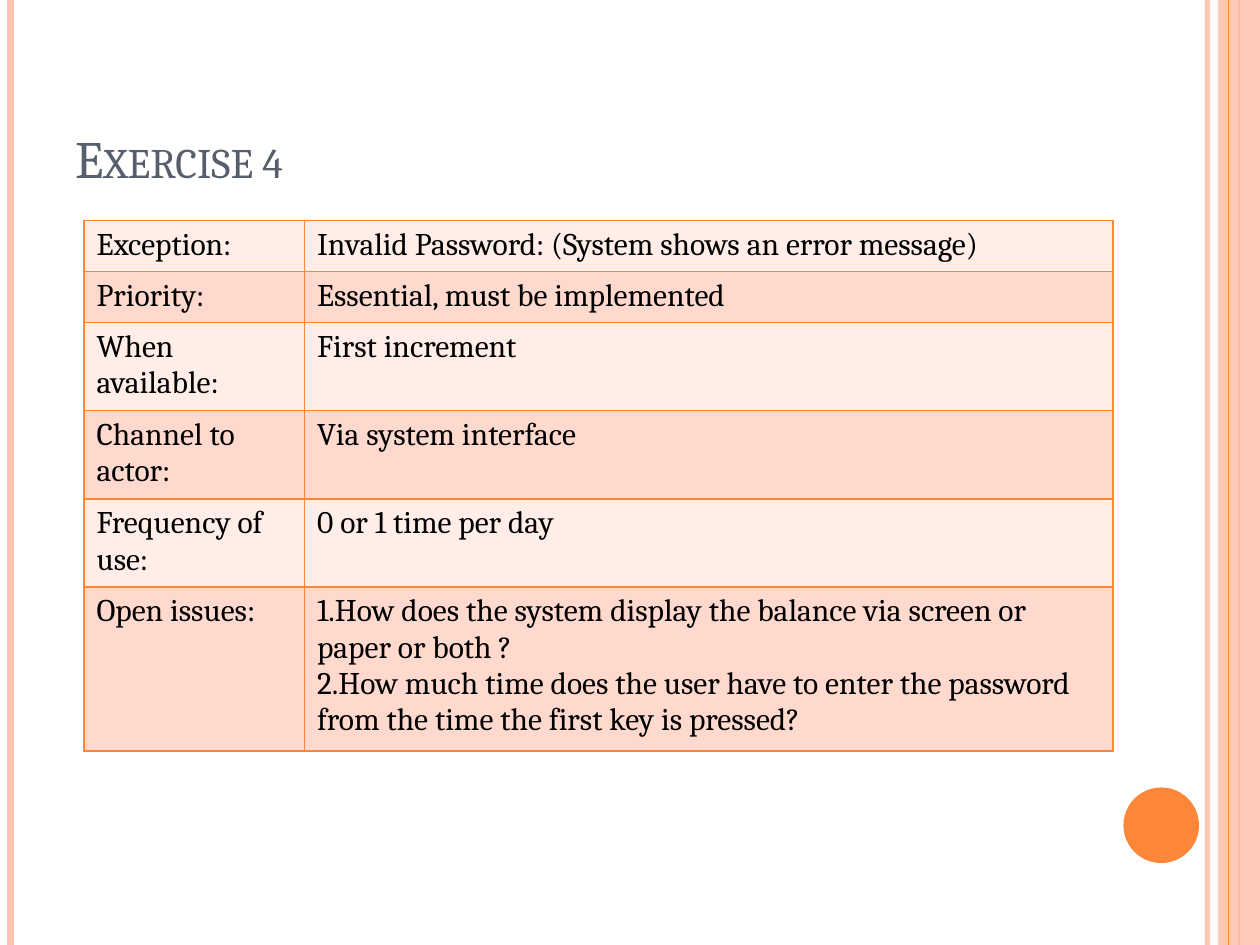
from lxml.etree import SubElement as Sub
from pptx import Presentation
from pptx.dml.color import RGBColor as RGB
from pptx.enum.shapes import MSO_CONNECTOR as Conn, MSO_SHAPE as Kind
from pptx.enum.text import MSO_ANCHOR as Anchor
from pptx.oxml.ns import qn
from pptx.util import Inches, Pt

ORANGE = RGB(0xFE, 0x86, 0x37)
PEACH = RGB(0xFE, 0xC3, 0xAE)
LIGHT = RGB(0xFF, 0xED, 0xE8)
DARK = RGB(0xFF, 0xD9, 0xCE)
SLATE = RGB(0x57, 0x5F, 0x6D)
BLACK = RGB(0, 0, 0)

COLS, ROWS = 120, 90  # grid over the 10 by 7.5 inch slide

FACTS = [
    ("Exception:", "Invalid Password: (System shows an error message)"),
    ("Priority:", "Essential, must be implemented"),
    ("When available:", "First increment"),
    ("Channel to actor:", "Via system interface"),
    ("Frequency of use:", "0 or 1 time per day"),
    ("Open issues:",
     "1.How does the system display the balance via screen or paper or both ?",
     "2.How much time does the user have to enter the password "
     "from the time the first key is pressed?"),
]


class Deck:
    font = "Cambria"

    def __init__(self):
        self.prs = Presentation()
        self.prs.slide_width, self.prs.slide_height = Inches(10), Inches(7.5)
        self.slide = self.prs.slides.add_slide(self.prs.slide_layouts[6])
        self.shapes = self.slide.shapes

    def x(self, cols):
        return round(self.prs.slide_width * cols / COLS)

    def y(self, rows):
        return round(self.prs.slide_height * rows / ROWS)

    def box(self, left, top, wide, high):
        return self.x(left), self.y(top), self.x(wide), self.y(high)

    def alpha(self, fill, share):
        tone = fill.find(".//" + qn("a:srgbClr"))
        Sub(tone, qn("a:alpha"), val=str(share * 1000))

    def rule(self, col, color, width, share=100):
        x = self.x(col)
        line = self.shapes.add_connector(Conn.STRAIGHT, x, 0, x, self.y(ROWS))
        line.line.color.rgb, line.line.width = color, Pt(width)
        props = line._element.spPr
        if share < 100:
            self.alpha(props, share)
        Sub(props, qn("a:effectLst"))

    def shape(self, kind, area, color, share=100):
        shape = self.shapes.add_shape(kind, *self.box(*area))
        shape.shadow.inherit = False
        shape.fill.solid()
        shape.fill.fore_color.rgb = color
        shape.line.fill.background()
        if share < 100:
            self.alpha(shape._element.spPr, share)

    def run(self, para, text, size, color):
        run = para.add_run()
        run.text = text
        run.font.name, run.font.size = self.font, Pt(size)
        run.font.color.rgb = color
        return run

    def title(self, text, area):
        frame = self.shapes.add_textbox(*self.box(*area)).text_frame
        frame.word_wrap, frame.vertical_anchor = True, Anchor.BOTTOM
        run = self.run(frame.paragraphs[0], text, 30, SLATE)
        run.font._element.set("cap", "small")

    def cell(self, cell, lines, color):
        # Borders come before the fill in the cell properties
        props = cell._tc.get_or_add_tcPr()
        for side in ("lnL", "lnR", "lnT", "lnB"):
            edge = Sub(props, qn("a:" + side), w=str(Pt(1)))
            Sub(Sub(edge, qn("a:solidFill")), qn("a:srgbClr"), val=str(ORANGE))
        cell.fill.solid()
        cell.fill.fore_color.rgb = color
        frame = cell.text_frame
        for i, line in enumerate(lines):
            para = frame.add_paragraph() if i else frame.paragraphs[0]
            self.run(para, line, 18, BLACK)

    def table(self, rows, left, top, wides, high):
        area = self.box(left, top, sum(wides), high * len(rows))
        table = self.shapes.add_table(len(rows), len(wides), *area).table
        for col, wide in zip(table.columns, wides):
            col.width = self.x(wide)
        for i, (label, *lines) in enumerate(rows):
            table.rows[i].height = self.y(high)
            color = DARK if i % 2 else LIGHT
            self.cell(table.cell(i, 0), [label], color)
            self.cell(table.cell(i, 1), lines, color)


def main():
    deck = Deck()
    # Side stripes and corner disc
    deck.rule(115, PEACH, 3, 93)
    deck.rule(1, PEACH, 4.5)
    deck.rule(118, ORANGE, 1.5)
    deck.shape(Kind.RECTANGLE, (116, 0, 4, ROWS), PEACH, 87)
    deck.rule(117, ORANGE, 0.75)
    deck.shape(Kind.OVAL, (107, 75, 7.2, 7.2), ORANGE)
    # Heading and use case table
    deck.title("Exercise 4", (6, 3.6, 98, 15))
    deck.table(FACTS, 8, 21, (21, 77), 4.86)
    deck.prs.save("out.pptx")


if __name__ == "__main__":
    main()
